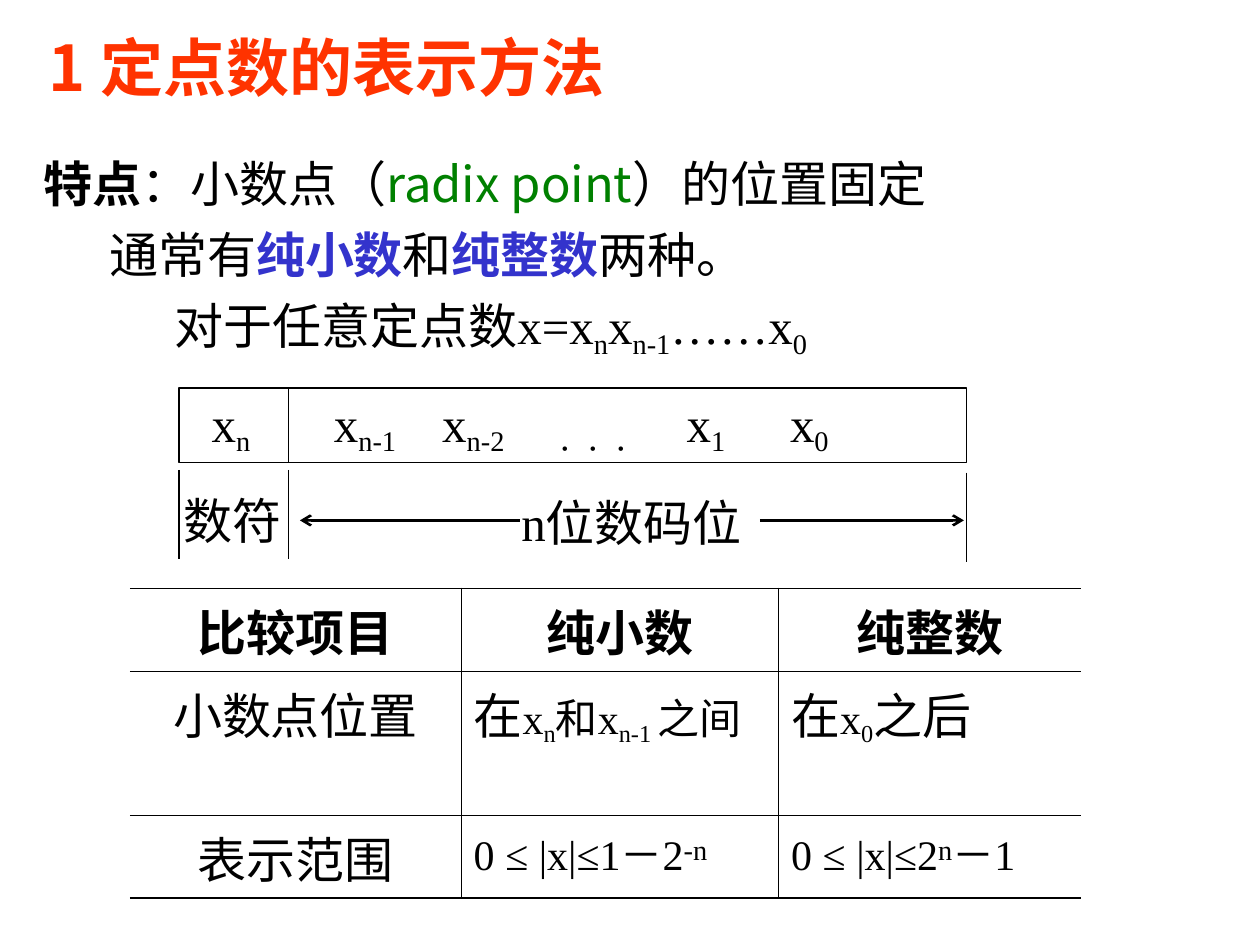
from lxml import etree
from pptx import Presentation
from pptx.dml.color import RGBColor
from pptx.enum import shapes, text
from pptx.oxml import ns
from pptx.util import Inches, Pt

BLACK = RGBColor(0, 0, 0)
RED = RGBColor(0xFF, 0x33, 0)
GREEN = RGBColor(0, 0x80, 0)
BLUE = RGBColor(0x33, 0x33, 0xCC)
SANS, SERIF = "Noto Sans CJK SC", "Times New Roman"

# Content: a run is (text, style); style may hold bold, color, size, font, base
BOLD = {"bold": True}
KEY = {"bold": True, "color": BLUE}
SUB = {"base": -20}
SUP = {"base": 20, "size": 28}
MID = {"size": 24}
LOW = {"base": -20, "size": 24}
ROMAN = {"font": SERIF}
RSUB = {"font": SERIF, "base": -20}

TITLE = [("1 定点数的表示方法", {"bold": True, "size": 36, "color": RED})]
BODY = [
    [("特点", BOLD), ("：小数点（", {}), ("radix point", {"color": GREEN}),
     ("）的位置固定", {})],
    [("通常有", {}), ("纯小数", KEY), ("和", {}), ("纯整数", KEY), ("两种。", {})],
    [("对于任意定点数x=x", ROMAN), ("n", RSUB), ("x", ROMAN), ("n-1", RSUB),
     ("……x", ROMAN), ("0", RSUB)],
]
STEP = 0.52  # extra indent of each body line
GAP = 7      # points between body lines

BITS = [("x", {}), ("n", SUB), ("\tx", {}), ("n-1", SUB), ("\tx", {}), ("n-2", SUB),
        ("\t．．．", SUB), ("\tx", {}), ("1", SUB), ("\tx", {}), ("0", SUB)]
STOPS = [0.97, 1.83, 2.75, 3.77, 4.59]

ROWS = [
    [[("比较项目", BOLD)], [("纯小数", BOLD)], [("纯整数", BOLD)]],
    [[("小数点位置", {})],
     [("在", {}), ("x", MID), ("n", LOW), ("和x", MID), ("n-1 ", LOW), ("之间", MID)],
     [("在", {}), ("x", MID), ("0", LOW), ("之后", {})]],
    [[("表示范围", {})],
     [("0 ≤ |x|≤1－2", MID), ("-n", SUP)],
     [("0 ≤ |x|≤2", MID), ("n", SUP), ("－1", MID)]],
]
WIDE = [2.63, 2.52, 2.4]
HIGH = [0.66, 1.14, 0.66]

# Register box and its marks
LEFT, SPLIT, RIGHT = 1.42, 2.29, 7.67
TOP, BASE = 3.08, 3.67
ARROW = 4.13
TICK = 0.71

deck = Presentation()
deck.slide_width, deck.slide_height = Inches(10), Inches(7.5)
slide = deck.slides.add_slide(deck.slide_layouts[6])


def node(top, tag, **attrs):
    return etree.SubElement(top, ns.qn(tag), attrs)


def write(para, runs, font=SERIF):
    for words, style in runs:
        run = para.add_run()
        run.text = words
        face = run.font
        face.name = style.get("font", font)
        face.size = Pt(style.get("size", 28))
        face.bold = style.get("bold", False)
        face.color.rgb = style.get("color", BLACK)
        props = run._r.get_or_add_rPr()
        node(props, "a:ea", typeface=SANS)
        if "base" in style:
            props.set("baseline", str(style["base"] * 1000))


def box(x, y, w, h, paras, font=SERIF, step=0):
    frame = slide.shapes.add_textbox(*map(Inches, (x, y, w, h))).text_frame
    frame.word_wrap = True
    for i, runs in enumerate(paras):
        para = frame.paragraphs[0] if i == 0 else frame.add_paragraph()
        if i:
            para._p.get_or_add_pPr().set("marL", str(Inches(step * i)))
            para.space_before = Pt(GAP)
        write(para, runs, font)
    return frame


def label(x, y, w, words):
    frame = box(x, y, w, 0.57, [[(words, {})]])
    frame.word_wrap = False
    frame.auto_size = text.MSO_AUTO_SIZE.SHAPE_TO_FIT_TEXT


def rule(x1, y1, x2, y2, width=1, **ends):
    line = slide.shapes.add_connector(
        shapes.MSO_CONNECTOR.STRAIGHT, *map(Inches, (x1, y1, x2, y2)))
    line.line.color.rgb = BLACK
    line.line.width = Pt(width)
    for end, kind in ends.items():
        node(line.line._get_or_add_ln(), f"a:{end}End", type=kind)
    node(line._element.spPr, "a:effectLst")


def edge(props, side, width):
    line = node(props, f"a:ln{side}", w=str(Pt(width)))
    if width:
        node(node(line, "a:solidFill"), "a:srgbClr", val=str(BLACK))
    else:
        node(line, "a:noFill")


# Title and body
head = box(0.29, 0.28, 6.54, 0.5, [TITLE], SANS)
head.vertical_anchor = text.MSO_ANCHOR.MIDDLE
box(0.25, 1.17, 9.5, 1.83, BODY, SANS, step=STEP)

# Register
reg = slide.shapes.add_shape(
    shapes.MSO_SHAPE.RECTANGLE,
    *map(Inches, (LEFT, TOP, RIGHT - LEFT, BASE - TOP)))
reg.shadow.inherit = False
reg.fill.background()
reg.line.color.rgb = BLACK
reg.line.width = Pt(0.75)
frame = reg.text_frame
frame.margin_left = Inches(0.26)
frame.vertical_anchor = text.MSO_ANCHOR.MIDDLE
para = frame.paragraphs[0]
para.alignment = text.PP_ALIGN.LEFT
tabs = node(para._p.get_or_add_pPr(), "a:tabLst")
for stop in STOPS:
    node(tabs, "a:tab", pos=str(Inches(stop)), algn="l")
write(para, BITS)
rule(SPLIT, TOP, SPLIT, BASE, 0.75)

# Comparison table
grid = slide.shapes.add_table(
    len(ROWS), len(WIDE),
    *map(Inches, (1.03, 4.67, sum(WIDE), sum(HIGH)))).table
grid.first_row = grid.horz_banding = False
for col, w in zip(grid.columns, WIDE):
    col.width = Inches(w)
last = len(ROWS) - 1
for r, row in enumerate(ROWS):
    grid.rows[r].height = Inches(HIGH[r])
    for c, runs in enumerate(row):
        cell = grid.cell(r, c)
        para = cell.text_frame.paragraphs[0]
        if r == 0 or c == 0:
            para.alignment = text.PP_ALIGN.CENTER
        write(para, runs)
        props = cell._tc.get_or_add_tcPr()
        edge(props, "L", 0.45 if c else 0)
        edge(props, "R", 0.45 if c < len(WIDE) - 1 else 0)
        edge(props, "T", 0.45 if r else 1.08)
        edge(props, "B", 0.45 if r < last else 1.08)
        cell.fill.background()

# Field labels, ticks and arrows
label(1.36, 3.84, 0.99, "数符")
label(4.04, 3.86, 2.04, "n位数码位")
for x, y in (LEFT, 3.73), (SPLIT, 3.73), (RIGHT, 3.75):
    rule(x, y, x, y + TICK)
rule(6.03, ARROW, 7.65, ARROW, 1.5, tail="arrow")
rule(2.38, ARROW, 4.13, ARROW, 1.5, head="arrow")

deck.save("out.pptx")
